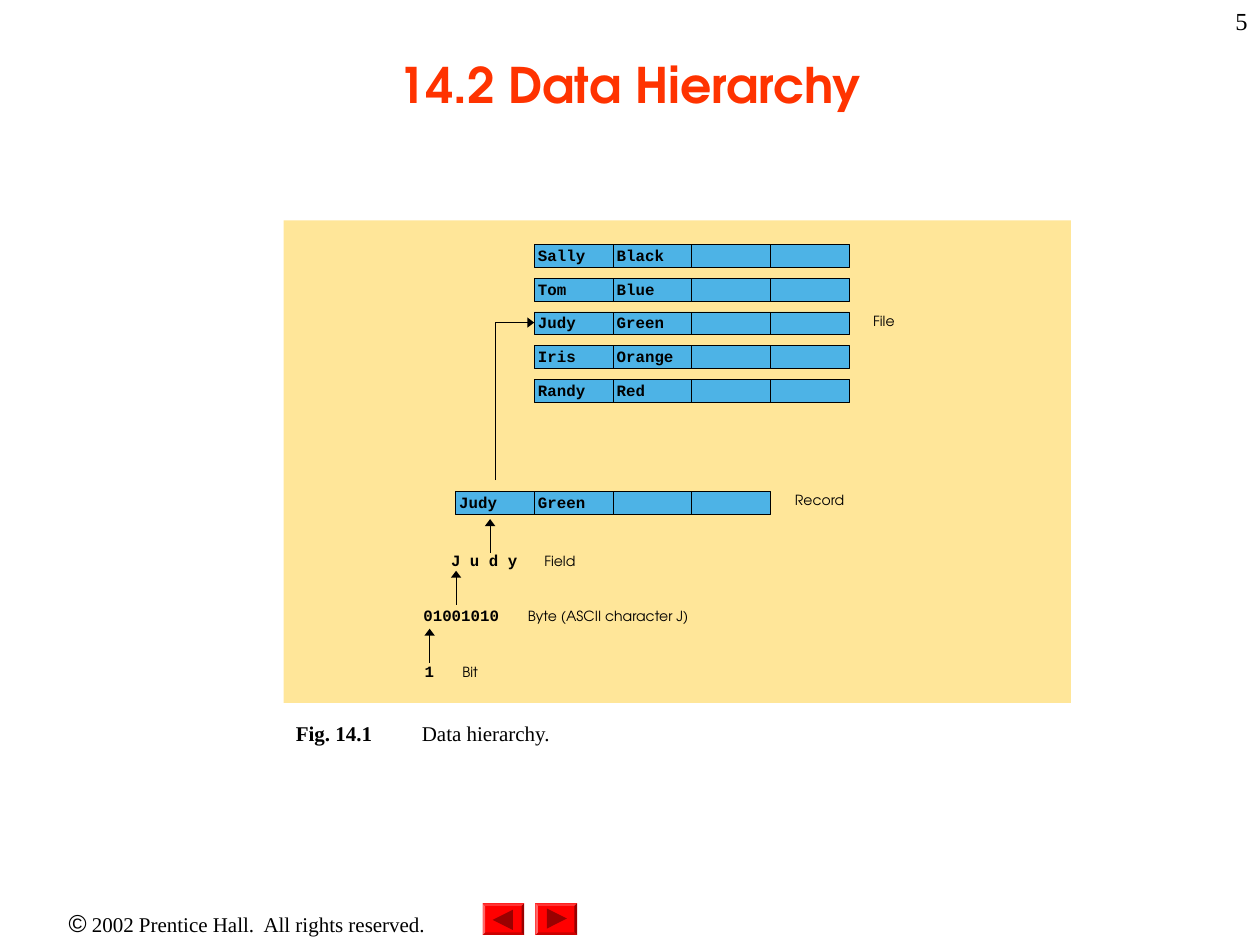
from copy import deepcopy
from lxml.etree import SubElement
from pptx import Presentation
from pptx.dml.color import RGBColor
from pptx.enum.shapes import MSO_CONNECTOR, MSO_SHAPE
from pptx.enum.text import MSO_ANCHOR, MSO_AUTO_SIZE, PP_ALIGN
from pptx.oxml.ns import qn
from pptx.util import Inches, Pt

COLORS = {
    "title": "FF3300",
    "panel": "FFE699",
    "cell": "4DB3E6",
    "button": "FF0000",
    "ink": "000000",
}
SERIF, SANS, MONO = "Times New Roman", "TeX Gyre Adventor", "Courier New"
HAIR = Pt(0.25)
COL_W, ROW_H = 2.5 / 4, 0.18
FILE_X, FILE_Y, FILE_STEP = 4.24, 1.94, 1.07 / 4
PEOPLE = [("Sally", "Black"), ("Tom", "Blue"), ("Judy", "Green"),
          ("Iris", "Orange"), ("Randy", "Red")]


def color(name):
    return RGBColor.from_string(COLORS[name])


def box(*sizes):
    return [Inches(n) for n in sizes]


def write(frame, runs, align=PP_ALIGN.LEFT, pad=(0, 0, 0, 0), space=None,
          anchor=MSO_ANCHOR.TOP, wrap=True):
    """Fill a text frame with runs of (text, size, font, bold, color)."""
    frame.auto_size = MSO_AUTO_SIZE.NONE
    frame.word_wrap = wrap
    frame.vertical_anchor = anchor
    (frame.margin_left, frame.margin_top,
     frame.margin_right, frame.margin_bottom) = box(*pad)
    para = frame.paragraphs[0]
    para.alignment = align
    if space:
        para.line_spacing = space
    for text, size, face, bold, tint in runs:
        run = para.add_run()
        run.text = text
        run.font.size = Pt(size)
        run.font.name = face
        run.font.bold = bold
        run.font.color.rgb = color(tint)


def add_text(slide, place, runs, **style):
    frame = slide.shapes.add_textbox(*box(*place)).text_frame
    write(frame, runs, **style)


def paint(shape, fill=None, edge=None):
    if fill:
        shape.fill.solid()
        shape.fill.fore_color.rgb = color(fill)
    else:
        shape.fill.background()
    if edge:
        shape.line.color.rgb = color(edge)
        shape.line.width = HAIR
    else:
        shape.line.fill.background()
    shape.shadow.inherit = False


def add_rect(slide, place, fill=None, edge=None):
    shape = slide.shapes.add_shape(MSO_SHAPE.RECTANGLE, *box(*place))
    paint(shape, fill, edge)
    return shape


def add_row(slide, left, top, names):
    """Draw a record of four fields, the first ones named."""
    add_rect(slide, (left, top, 4 * COL_W, ROW_H), "cell", "cell")
    for col in range(4):
        cell = add_rect(slide, (left + col * COL_W, top, COL_W, ROW_H),
                        edge="ink")
        if col < len(names):
            write(cell.text_frame, [(names[col], 9, MONO, True, "ink")],
                  pad=(0.03, 0.03, 0, 0), space=0.88, wrap=False)


def style_arrow(shape):
    """Make a thin black line that ends in a triangle."""
    shape.line.color.rgb = color("ink")
    shape.line.width = HAIR
    props = shape.element.spPr
    SubElement(props.find(qn("a:ln")), qn("a:tailEnd"),
               type="triangle", w="med", len="sm")
    SubElement(props, qn("a:effectLst"))


def add_rise(slide, x, top):
    line = slide.shapes.add_connector(
        MSO_CONNECTOR.STRAIGHT, *box(x, top + 0.27, x, top))
    style_arrow(line)


def add_bend(slide, points):
    start, *rest = [box(*point) for point in points]
    pen = slide.shapes.build_freeform(*start)
    pen.add_line_segments(rest, close=False)
    bend = pen.convert_to_shape()
    bend.fill.background()
    style_arrow(bend)


def add_button(slide, left, top, turn):
    """Draw a bevelled button with an arrow, each side in its own shade."""
    wide, high, rim = 0.33, 0.25, 0.02
    outer = [(0, 0), (wide, 0), (wide, high), (0, high)]
    inner = [(rim, rim), (wide - rim, rim),
             (wide - rim, high - rim), (rim, high - rim)]
    parts = [outer]
    for i in range(4):
        j = (i + 1) % 4
        parts.append([outer[i], outer[j], inner[j], inner[i]])
    parts.append([(0.09, 0.04), (0.25, 0.12), (0.09, 0.2)])
    sides = ["lightenLess", "darken", "darkenLess", "lighten"]
    if turn:
        sides = sides[2:] + sides[:2]  # light still falls from the top left
    pen = None
    for part in parts:
        start, *rest = [box(left + x, top + y) for x, y in part]
        if pen is None:
            pen = slide.shapes.build_freeform(*start)
        else:
            pen.move_to(*start)
        pen.add_line_segments(rest, close=True)
    button = pen.convert_to_shape()
    paint(button, "button")
    button.rotation = turn

    # One path for each part, so that each takes its shade
    whole = button.element.spPr.find(".//" + qn("a:path"))
    steps = list(whole)
    marks = [i for i, step in enumerate(steps) if step.tag == qn("a:moveTo")]
    ends = marks[1:] + [len(steps)]
    for shade, first, last in zip(["norm", *sides, "darken"], marks, ends):
        piece = SubElement(whole.getparent(), qn("a:path"),
                           w=whole.get("w"), h=whole.get("h"), fill=shade)
        piece.extend(deepcopy(steps[first:last]))
    whole.getparent().remove(whole)


def add_label(slide, left, top, text):
    add_text(slide, (left, top, 1.9, 0.13),
             [(text, 8, SANS, False, "ink")], space=0.8)


def add_code(slide, left, top, text):
    add_text(slide, (left, top, 0.75, 0.15),
             [(text, 9, MONO, True, "ink")], space=0.88, wrap=False)


def add_frame(slide):
    """Title, page number, copyright line, buttons and caption."""
    title = slide.shapes.title
    title.left, title.top, title.width, title.height = box(0.75, 0.08, 8.5, 1.17)
    pad = (0.1, 0.05, 0.1, 0.05)
    write(title.text_frame, [("14.2 Data Hierarchy", 28, SANS, True, "title")],
          align=PP_ALIGN.CENTER, pad=pad, anchor=MSO_ANCHOR.MIDDLE)
    add_text(slide, (7.92, 0, 2.08, 0.5), [("5", 14, SERIF, False, "ink")],
             align=PP_ALIGN.RIGHT, pad=pad)
    add_text(slide, (0, 7.16, 3.92, 0.34),
             [("©", 14, "Arial", False, "ink"),
              (" 2002 Prentice Hall.  All rights reserved.",
               12, SERIF, False, "ink")],
             align=PP_ALIGN.CENTER, pad=pad)
    for left, turn in ((4.25, 0), (3.83, 180)):
        add_button(slide, left, 7.17, turn)
    add_text(slide, (2.25, 5.67, 2.83, 0.3),
             [("Fig. 14.1\t", 12, SERIF, True, "ink"),
              ("Data hierarchy.", 12, SERIF, False, "ink")], pad=pad)


def main():
    deck = Presentation()
    deck.slide_width, deck.slide_height = box(10, 7.5)
    slide = deck.slides.add_slide(deck.slide_layouts[5])
    add_frame(slide)
    add_rect(slide, (2.25, 1.75, 6.25, 3.83), "panel")

    # File and record
    for i, names in enumerate(PEOPLE):
        add_row(slide, FILE_X, FILE_Y + i * FILE_STEP, names)
    add_row(slide, FILE_X - COL_W, 3.9, PEOPLE[2])
    add_bend(slide, [(3.93, 3.81), (3.93, 2.56), (FILE_X, 2.56)])
    add_label(slide, 6.93, 2.51, "File")
    add_label(slide, 6.31, 3.93, "Record")

    # Field, byte and bit, each with an arrow up
    for x, top, code, label_x, label, tip_x, tip_y in (
            (3.58, 4.39, "J u d y", 4.32, "Field", 3.89, 4.12),
            (3.36, 4.83, "01001010", 4.19, "Byte (ASCII character J)", 3.62, 4.53),
            (3.37, 5.27, "1", 3.67, "Bit", 3.41, 4.99)):
        add_code(slide, x, top, code)
        add_label(slide, label_x, top + 0.02, label)
        add_rise(slide, tip_x, tip_y)

    deck.save("out.pptx")


if __name__ == "__main__":
    main()
